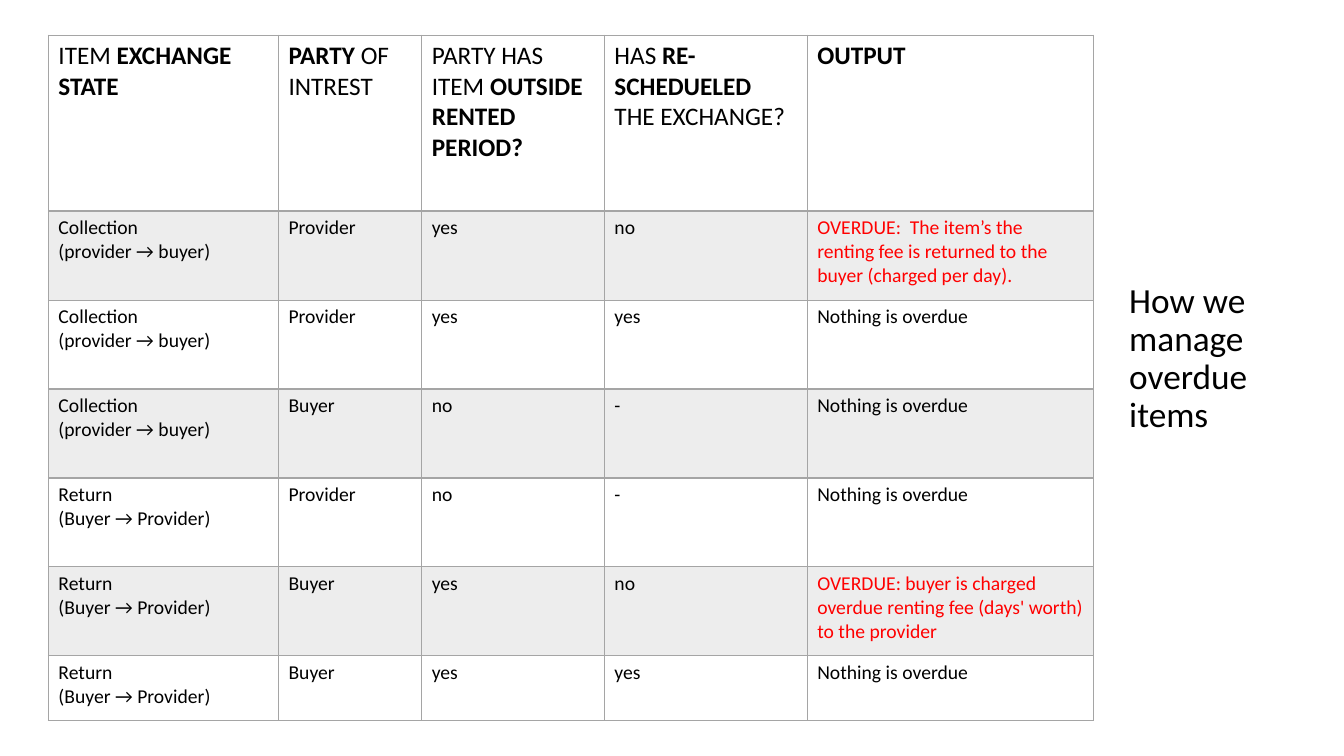
from lxml.etree import SubElement
from pptx import Presentation
from pptx.dml.color import RGBColor
from pptx.enum.text import MSO_ANCHOR, MSO_AUTO_SIZE, PP_ALIGN
from pptx.oxml.ns import qn
from pptx.util import Inches, Pt

COLORS = {"text": "000000", "alert": "FF0000", "band": "EDEDED", "border": "A5A5A5"}
FONT = "Calibri"
COL_WIDTHS = [2.28, 1.42, 1.81, 2.01, 2.84]
ROW_HEIGHTS = [1.74] + [0.88] * 5 + [0.64]

HEADERS = [
    "ITEM *EXCHANGE STATE*",
    "*PARTY *OF INTREST",
    "PARTY HAS ITEM *OUTSIDE RENTED PERIOD?*",
    "HAS *RE-SCHEDUELED *THE EXCHANGE?",
    "*OUTPUT*",
]
COLLECTION = "Collection\n(provider → buyer)"
RETURN = "Return\n(Buyer → Provider)"
FINE = "Nothing is overdue"
CASES = [
    [COLLECTION, "Provider", "yes", "no",
     "OVERDUE:  The item’s the renting fee is returned to the buyer (charged per day)."],
    [COLLECTION, "Provider", "yes", "yes", FINE],
    [COLLECTION, "Buyer", "no", "- ", FINE],
    [RETURN, "Provider", "no", "-", FINE],
    [RETURN, "Buyer", "yes", "no",
     "OVERDUE: buyer is charged overdue renting fee (days' worth) to the provider"],
    [RETURN, "Buyer", "yes", "yes", FINE],
]


def write_text(tf, text, size=14, color="text", line_spacing=None):
    for i, line in enumerate(text.split("\n")):
        p = tf.paragraphs[0] if i == 0 else tf.add_paragraph()
        p.alignment = PP_ALIGN.LEFT
        p.line_spacing = line_spacing
        for j, part in enumerate(line.split("*")):
            if part:
                r = p.add_run()
                r.text = part
                r.font.name = FONT
                r.font.size = Pt(size)
                r.font.bold = j % 2 == 1
                r.font.color.rgb = RGBColor.from_string(COLORS[color])


def set_borders(cell, top=1, bottom=1):
    tcPr = cell._tc.get_or_add_tcPr()
    for side, width in (("L", 1), ("R", 1), ("T", top), ("B", bottom)):
        ln = SubElement(tcPr, qn(f"a:ln{side}"), w=str(Pt(width)))
        fill = SubElement(ln, qn("a:solidFill"))
        SubElement(fill, qn("a:srgbClr"), val=COLORS["border"])


def add_title(slide, left, top, width, height):
    title = slide.shapes.title
    title.left, title.top = Inches(left), Inches(top)
    title.width, title.height = Inches(width), Inches(height)
    tf = title.text_frame
    tf.word_wrap = True
    tf.auto_size = MSO_AUTO_SIZE.NONE
    tf.vertical_anchor = MSO_ANCHOR.MIDDLE
    write_text(tf, "How we manage overdue items", size=25.2, line_spacing=0.9)


def add_overdue_table(slide, left, top, width, height):
    rows = [HEADERS] + CASES
    table = slide.shapes.add_table(len(rows), len(HEADERS), Inches(left), Inches(top),
                                   Inches(width), Inches(height)).table
    table.first_row = table.horz_banding = False
    for column, col_width in zip(table.columns, COL_WIDTHS):
        column.width = Inches(col_width * width / sum(COL_WIDTHS))
    for row, row_height in zip(table.rows, ROW_HEIGHTS):
        row.height = Inches(row_height * height / sum(ROW_HEIGHTS))
    for i, texts in enumerate(rows):
        for cell, text in zip(table.rows[i].cells, texts):
            write_text(cell.text_frame, text, size=14 if i else 18,
                       color="alert" if text.startswith("OVERDUE") else "text")
            set_borders(cell, top=2 if i == 1 else 1, bottom=1 if i else 2)
            if i % 2:
                cell.fill.solid()
                cell.fill.fore_color.rgb = RGBColor.from_string(COLORS["band"])
            else:
                cell.fill.background()


def main():
    prs = Presentation()
    prs.slide_width, prs.slide_height = Inches(13.33), Inches(7.5)
    slide = prs.slides.add_slide(prs.slide_layouts[5])
    add_title(slide, 11.1, 2.84, 2.02, 1.45)
    add_overdue_table(slide, 0.48, 0.35, 10.37, 6.8)
    prs.save("out.pptx")


if __name__ == "__main__":
    main()
